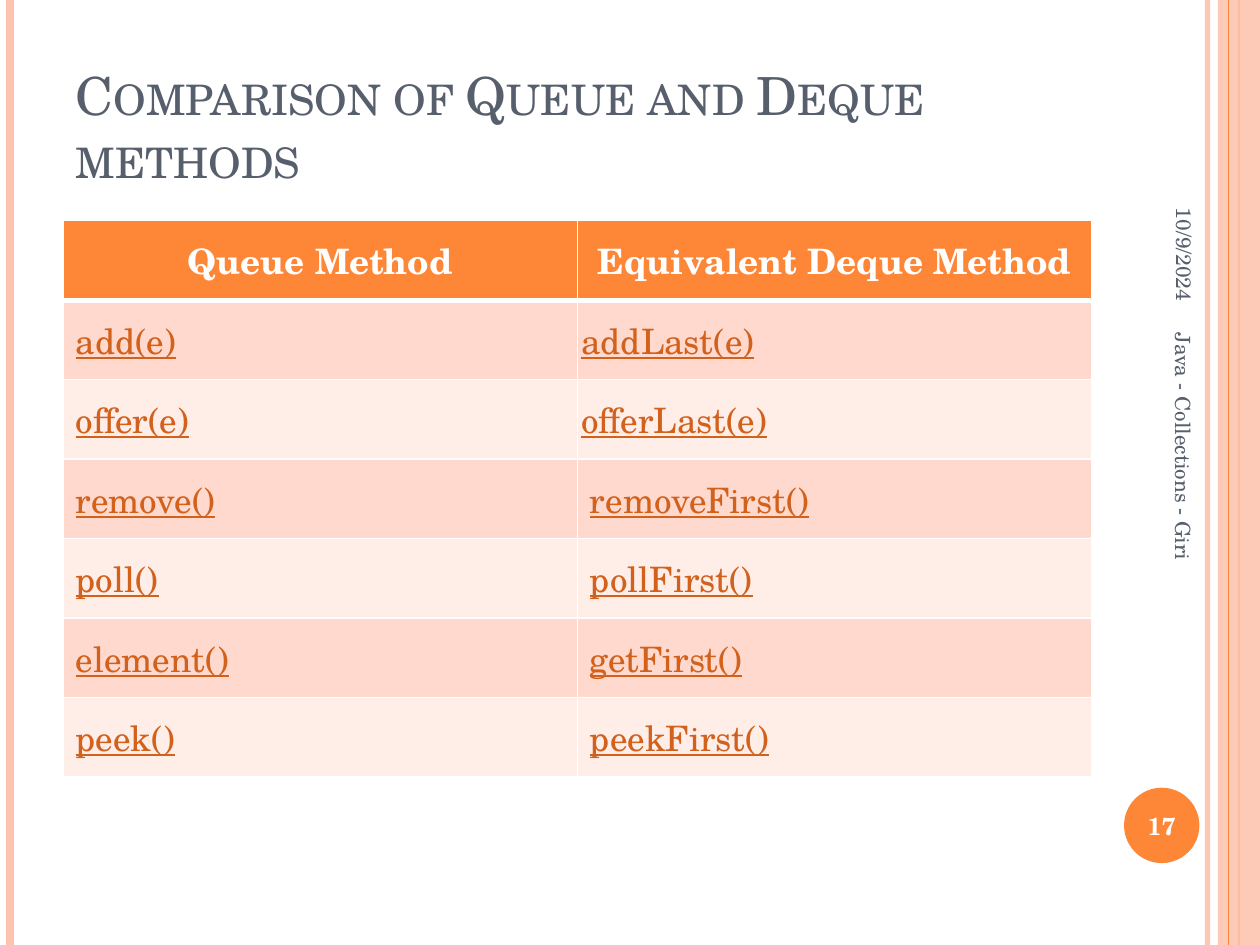
from lxml.etree import SubElement
from pptx import Presentation
from pptx.dml.color import RGBColor
from pptx.enum.shapes import MSO_CONNECTOR as Connector, MSO_SHAPE as Preset
from pptx.enum.text import MSO_ANCHOR as Anchor, PP_ALIGN as Align
from pptx.oxml import parse_xml
from pptx.oxml.ns import nsdecls, qn
from pptx.util import Cm, Pt

COLORS = {
    "accent": "FE8637", "soft": "FEC3AE", "text": "575F6D", "link": "D2611C",
    "white": "FFFFFF", "odd_row": "FFD9CE", "even_row": "FFEDE8",
}
FONT = "TeX Gyre Schola"
WIDTH, HEIGHT = 25.4, 19.05
METHODS = [
    ("Queue Method", "Equivalent Deque Method"),
    ("add(e)", "addLast(e)"),
    ("offer(e)", "offerLast(e)"),
    ("remove()", "removeFirst()"),
    ("poll()", "pollFirst()"),
    ("element()", "getFirst()"),
    ("peek()", "peekFirst()"),
]
TIGHT_CELLS = {"addLast(e)", "offerLast(e)"}


class SlideBuilder:
    """Draws styled elements on the current slide."""

    def __init__(self, slide):
        self.slide = slide

    def color(self, name):
        return RGBColor.from_string(COLORS[name])

    def set_text(self, frame, text, size, color, align=Align.LEFT, bold=False, underline=False):
        paragraph = frame.paragraphs[0]
        paragraph.text = text
        paragraph.alignment = align
        font = paragraph.font
        font.name, font.size = FONT, Pt(size)
        font.bold, font.underline = bold, underline
        font.color.rgb = self.color(color)
        return paragraph

    def set_alpha(self, properties, percent):
        color = properties.find(".//" + qn("a:srgbClr"))
        SubElement(color, qn("a:alpha")).set("val", str(percent * 1000))

    def title(self, text, left, top, width, height):
        shape = self.slide.shapes.title
        shape.left, shape.top, shape.width, shape.height = map(Cm, (left, top, width, height))
        shape.text_frame.vertical_anchor = Anchor.BOTTOM
        paragraph = self.set_text(shape.text_frame, text, 30, "text")
        for run in paragraph.runs:
            run._r.get_or_add_rPr().set("cap", "small")

    def vertical_line(self, x, color, width, alpha=100):
        line = self.slide.shapes.add_connector(Connector.STRAIGHT, Cm(x), 0, Cm(x), Cm(HEIGHT))
        line.line.width = Pt(width)
        line.line.color.rgb = self.color(color)
        properties = line._element.spPr
        if alpha < 100:
            self.set_alpha(properties, alpha)
        SubElement(properties, qn("a:effectLst"))

    def shape(self, preset, left, top, width, height, color, alpha=100):
        shape = self.slide.shapes.add_shape(preset, *map(Cm, (left, top, width, height)))
        shape.shadow.inherit = False
        shape.fill.solid()
        shape.fill.fore_color.rgb = self.color(color)
        shape.line.fill.background()
        if alpha < 100:
            self.set_alpha(shape._element.spPr, alpha)

    def label(self, text, left, top, width, height, size, color, align, rotation=0, bold=False):
        box = self.slide.shapes.add_textbox(*map(Cm, (left, top, width, height)))
        box.rotation = rotation
        box.text_frame.word_wrap = True
        box.text_frame.vertical_anchor = Anchor.MIDDLE
        self.set_text(box.text_frame, text, size, color, align, bold)

    def borders(self, cell, top, bottom):
        properties = cell._tc.get_or_add_tcPr()
        widths = {"lnL": 1, "lnR": 1, "lnT": top, "lnB": bottom}
        for index, (side, width) in enumerate(widths.items()):
            properties.insert(index, parse_xml(
                f'<a:{side} {nsdecls("a")} w="{Pt(width)}"><a:solidFill>'
                f'<a:srgbClr val="{COLORS["white"]}"/></a:solidFill></a:{side}>'))

    def table(self, rows, left, top, width, height):
        frame = self.slide.shapes.add_table(
            len(rows), len(rows[0]), *map(Cm, (left, top, width, height)))
        for row_index, row in enumerate(rows):
            header = row_index == 0
            fill = "accent" if header else "odd_row" if row_index % 2 else "even_row"
            for column_index, text in enumerate(row):
                cell = frame.table.cell(row_index, column_index)
                cell.vertical_anchor = Anchor.MIDDLE
                cell.fill.solid()
                cell.fill.fore_color.rgb = self.color(fill)
                if text in TIGHT_CELLS:
                    cell.margin_left = cell.margin_right = Cm(0.08)
                    cell.margin_top = cell.margin_bottom = Cm(0.08)
                self.borders(cell, 3 if row_index == 1 else 1, 3 if header else 1)
                self.set_text(cell.text_frame, text, 20, "white" if header else "link",
                              Align.CENTER if header else Align.LEFT, header, not header)


def main():
    presentation = Presentation()
    presentation.slide_width, presentation.slide_height = Cm(WIDTH), Cm(HEIGHT)
    slide = presentation.slides.add_slide(presentation.slide_layouts[5])
    builder = SlideBuilder(slide)

    builder.vertical_line(24.34, "soft", 3, alpha=93)
    builder.vertical_line(0.21, "soft", 4.5)
    builder.vertical_line(24.98, "accent", 1.5)
    builder.shape(Preset.RECTANGLE, 24.55, 0, 0.85, HEIGHT, "soft", alpha=87)
    builder.vertical_line(24.77, "accent", 0.75)
    builder.shape(Preset.OVAL, 22.66, 15.88, 1.52, 1.52, "accent")

    builder.title("Comparison of Queue and Deque methods", 1.27, 0.76, 20.74, 3.18)
    builder.table(METHODS, 1.27, 4.45, 20.74, 11.22)

    builder.label("10/9/2024", 21.08, 3, 5.59, 1.06, 12, "text", Align.RIGHT, rotation=90)
    builder.label("17", 22.57, 15.92, 1.7, 1.45, 14, "white", Align.CENTER, bold=True)
    builder.label("Java - Collections - Giri", 19.41, 10.39, 8.89, 1.02, 12, "text",
                  Align.LEFT, rotation=90)
    presentation.save("out.pptx")


if __name__ == "__main__":
    main()
